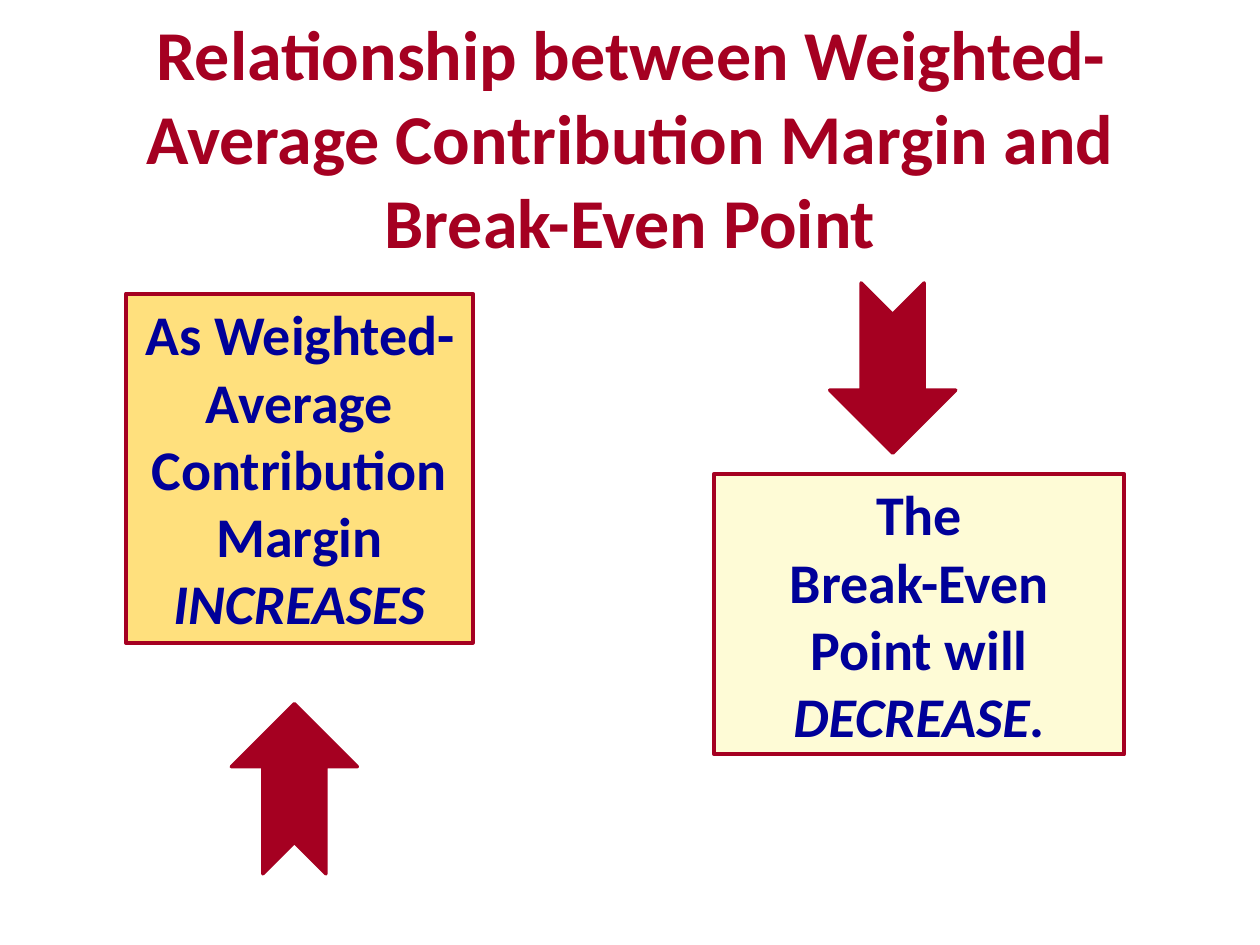
"""Build the slide relating weighted-average contribution margin to the break-even point."""
import pptx
import pptx.dml.color
import pptx.enum.shapes
import pptx.enum.text
import pptx.util
from dataclasses import dataclass
from pptx.util import Cm


@dataclass(frozen=True)
class Theme:
    font: str = "Calibri"
    crimson: str = "A50021"
    navy: str = "000099"
    amber: str = "FFE07D"
    cream: str = "FEFBD6"
    title_size: int = 40
    body_size: int = 32
    box_line: float = 2.25
    arrow_line: float = 2


theme = Theme()


def add_text(paragraph, text, *, size=theme.body_size, color=theme.navy, italic=False):
    paragraph.alignment = pptx.enum.text.PP_ALIGN.CENTER
    run = paragraph.add_run()
    run.text = text
    run.font.name = theme.font
    run.font.size = pptx.util.Pt(size)
    run.font.bold = True
    run.font.italic = italic
    run.font.color.rgb = pptx.dml.color.RGBColor.from_string(color)


def add_figure(kind, frame, fill, line_width):
    figure = slide.shapes.add_shape(kind, *map(Cm, frame))
    figure.shadow.inherit = False
    figure.fill.solid()
    figure.fill.fore_color.rgb = pptx.dml.color.RGBColor.from_string(fill)
    figure.line.color.rgb = pptx.dml.color.RGBColor.from_string(theme.crimson)
    figure.line.width = pptx.util.Pt(line_width)
    return figure


deck = pptx.Presentation()
deck.slide_width, deck.slide_height = Cm(25.4), Cm(19.05)
slide = deck.slides.add_slide(deck.slide_layouts[5])

title = slide.shapes.title
title.left, title.top, title.width, title.height = map(Cm, (1.27, 0.64, 22.86, 4.24))
title.text_frame.auto_size = pptx.enum.text.MSO_AUTO_SIZE.NONE
title.text_frame.vertical_anchor = pptx.enum.text.MSO_ANCHOR.MIDDLE
add_text(
    title.text_frame.paragraphs[0],
    "Relationship between Weighted-Average Contribution Margin and Break-Even Point",
    size=theme.title_size,
    color=theme.crimson,
)

effect = (
    (14.4, 9.55, 8.26, 5.66),
    theme.cream,
    [[("The", False)], [("Break-Even Point will ", False), ("DECREASE", True), (".", False)]],
    (16.28, 6.15),
    90,
)
cause = (
    (2.54, 5.92, 6.99, 7.04),
    theme.amber,
    [[("As Weighted-Average Contribution Margin", False)], [("INCREASES", True)]],
    (4.22, 14.63),
    270,
)

for statement_frame, fill, lines, arrow_corner, direction in (effect, cause):
    statement = add_figure(
        pptx.enum.shapes.MSO_SHAPE.RECTANGLE, statement_frame, fill, theme.box_line
    )
    wording = statement.text_frame
    wording.word_wrap = True
    wording.auto_size = pptx.enum.text.MSO_AUTO_SIZE.SHAPE_TO_FIT_TEXT
    wording.vertical_anchor = pptx.enum.text.MSO_ANCHOR.TOP
    for index, line in enumerate(lines):
        paragraph = wording.add_paragraph() if index else wording.paragraphs[0]
        for text, italic in line:
            add_text(paragraph, text, italic=italic)

    trend = add_figure(
        pptx.enum.shapes.MSO_SHAPE.NOTCHED_RIGHT_ARROW,
        (*arrow_corner, 3.43, 2.54),
        theme.crimson,
        theme.arrow_line,
    )
    trend.rotation = direction

deck.save("out.pptx")
